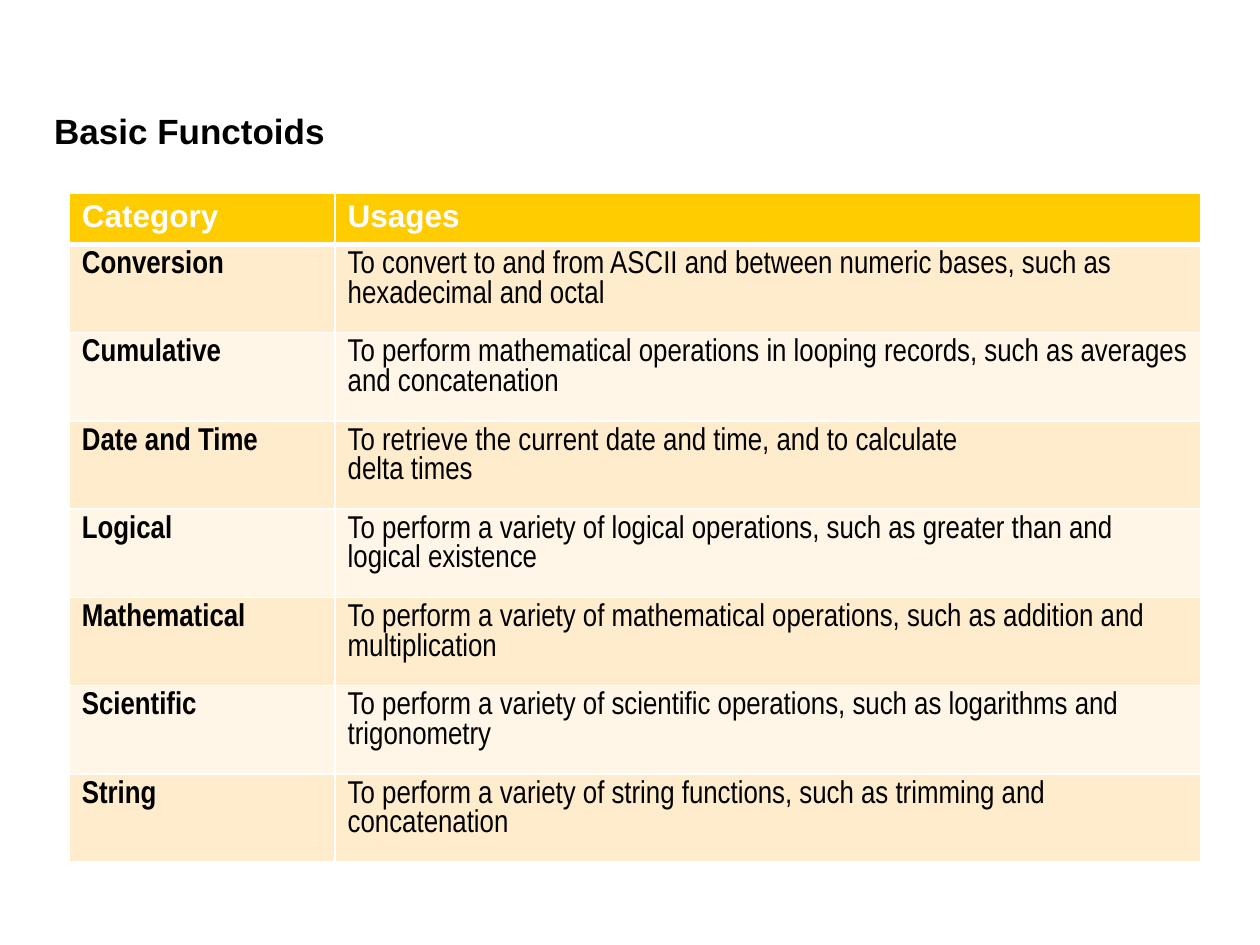
from dataclasses import dataclass

from lxml.etree import SubElement
from pptx import Presentation
from pptx.dml.color import RGBColor
from pptx.enum.text import MSO_ANCHOR
from pptx.oxml.ns import qn
from pptx.util import Inches, Pt


@dataclass(frozen=True)
class Theme:
    heading_font: str = "Arial"
    body_font: str = "Arial Narrow"
    title_size: int = 20
    table_size: int = 18
    ink: str = "000000"
    paper: str = "FFFFFF"
    header_fill: str = "FFCC00"
    band_fills: tuple = ("FFECCC", "FFF6E7")
    rule: int = 1
    header_rule: int = 3


THEME = Theme()
WIDTH, HEIGHT = Inches(10), Inches(7.5)

# Table grid in inches
TABLE_LEFT, TABLE_TOP = 0.55, 1.53
COLUMNS = (2.11, 6.87)
HEADER_ROW, BODY_ROW = 0.41, 0.7

HEADINGS = ("Category", "Usages")
FUNCTOIDS = (
    ("Conversion", "To convert to and from ASCII and between numeric bases, "
                   "such as hexadecimal and octal"),
    ("Cumulative", "To perform mathematical operations in looping records, "
                   "such as averages and concatenation"),
    ("Date and Time", "To retrieve the current date and time, and to calculate\n"
                      "delta times"),
    ("Logical", "To perform a variety of logical operations, "
                "such as greater than and logical existence"),
    ("Mathematical", "To perform a variety of mathematical operations, "
                     "such as addition and multiplication"),
    ("Scientific", "To perform a variety of scientific operations, "
                   "such as logarithms and trigonometry"),
    ("String", "To perform a variety of string functions, "
               "such as trimming and concatenation"),
)


def add_text(paragraph, text, font, size, color, bold):
    for number, line in enumerate(text.split("\n")):
        if number:
            paragraph.add_line_break()
        run = paragraph.add_run()
        run.text = line
        run.font.name = font
        run.font.size = Pt(size)
        run.font.bold = bold
        run.font.color.rgb = RGBColor.from_string(color)


def add_title(slide, text):
    title = slide.shapes.add_textbox(
        int(WIDTH * 0.043), int(HEIGHT * 0.112), int(WIDTH * 0.914), int(HEIGHT * 0.052))
    frame = title.text_frame
    frame.word_wrap = True
    frame.vertical_anchor = MSO_ANCHOR.MIDDLE
    frame.margin_left = frame.margin_right = frame.margin_top = frame.margin_bottom = 0
    add_text(frame.paragraphs[0], text, THEME.heading_font, THEME.title_size,
             THEME.ink, True)


def set_borders(cell, top, bottom):
    properties = cell._tc.get_or_add_tcPr()
    sides = {"lnL": THEME.rule, "lnR": THEME.rule, "lnT": top, "lnB": bottom}
    for side, points in sides.items():
        line = SubElement(properties, qn(f"a:{side}"), w=str(Pt(points)))
        fill = SubElement(line, qn("a:solidFill"))
        SubElement(fill, qn("a:srgbClr"), val=THEME.paper)


def fill_cell(cell, text, fill, font, color, bold, top, bottom):
    set_borders(cell, top, bottom)
    cell.fill.solid()
    cell.fill.fore_color.rgb = RGBColor.from_string(fill)
    add_text(cell.text_frame.paragraphs[0], text, font, THEME.table_size, color, bold)


def add_functoid_table(slide):
    heights = [HEADER_ROW] + [BODY_ROW] * len(FUNCTOIDS)
    table = slide.shapes.add_table(
        len(heights), len(COLUMNS), Inches(TABLE_LEFT), Inches(TABLE_TOP),
        Inches(sum(COLUMNS)), Inches(sum(heights))).table
    for column, width in zip(table.columns, COLUMNS):
        column.width = Inches(width)
    for row, height in zip(table.rows, heights):
        row.height = Inches(height)

    # Header row
    for column, heading in enumerate(HEADINGS):
        fill_cell(table.cell(0, column), heading, THEME.header_fill,
                  THEME.heading_font, THEME.paper, True, THEME.rule, THEME.header_rule)

    # Banded rows, with the category in bold
    for row, functoid in enumerate(FUNCTOIDS, start=1):
        band = THEME.band_fills[(row - 1) % 2]
        top = THEME.header_rule if row == 1 else THEME.rule
        for column, text in enumerate(functoid):
            fill_cell(table.cell(row, column), text, band, THEME.body_font,
                      THEME.ink, column == 0, top, THEME.rule)


def main():
    presentation = Presentation()
    presentation.slide_width, presentation.slide_height = WIDTH, HEIGHT
    slide = presentation.slides.add_slide(presentation.slide_layouts[6])
    add_title(slide, "Basic Functoids")
    add_functoid_table(slide)
    presentation.save("out.pptx")


if __name__ == "__main__":
    main()
